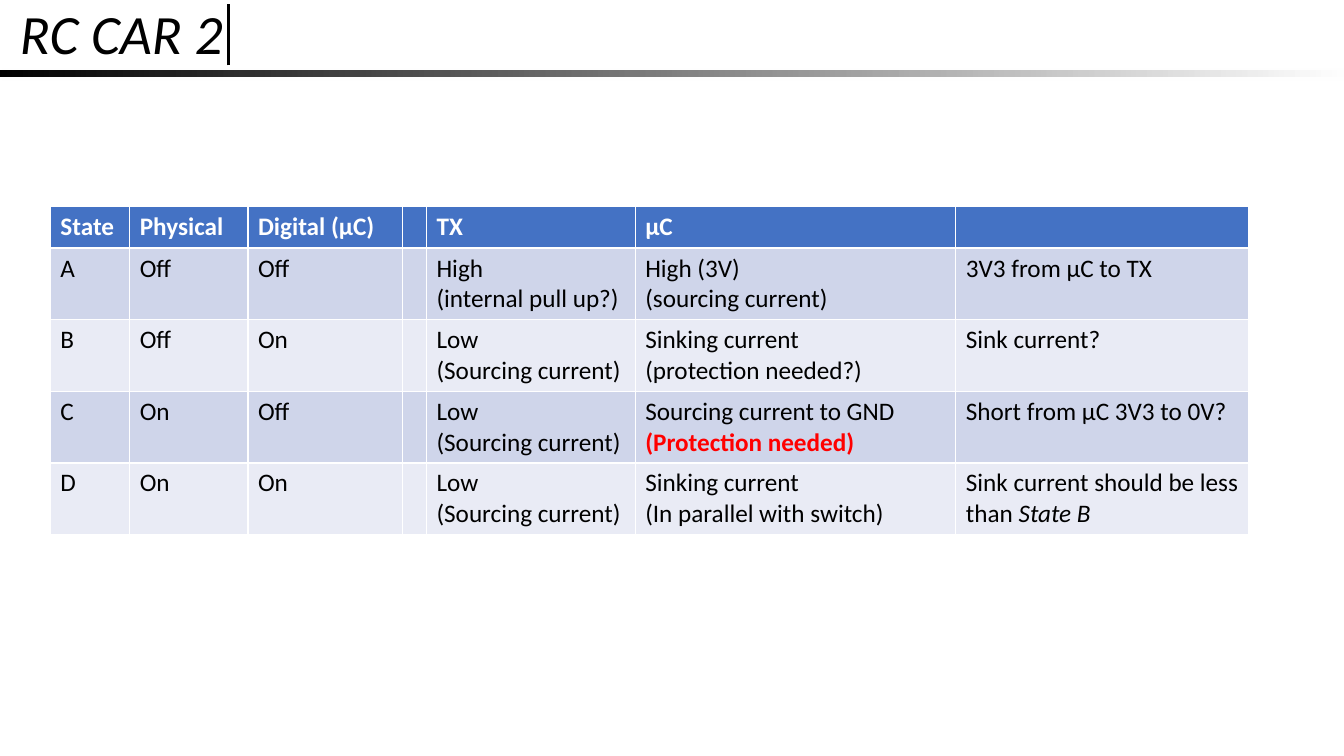
import pptx
import pptx.dml.color
import pptx.enum.shapes
import pptx.enum.text
import pptx.oxml.ns
import pptx.util
from lxml import etree
from pptx.util import Cm

FONT = "Calibri"
COLORS = {
    "black": "000000",
    "white": "FFFFFF",
    "header": "4472C4",
    "odd_row": "CFD5EA",
    "even_row": "E9EBF5",
    "warning": "FF0000",
}
SLIDE_WIDTH = Cm(33.87)
COLUMN_WIDTHS = [2.0, 2.98, 3.89, 0.6, 5.26, 8.08, 7.38]
HEADER_HEIGHT, ROW_HEIGHT = Cm(1.04), Cm(1.78)

# A cell is a list of paragraphs; a paragraph is a list of (text, format) runs.
WARNING = {"bold": True, "color": "warning"}
SOURCING = "Low\n(Sourcing current)"
HEADINGS = ["State", "Physical", "Digital (µC)", "", "TX", "µC", ""]
STATES = [
    ["A", "Off", "Off", "", "High\n(internal pull up?)",
     "High (3V)\n(sourcing current)", "3V3 from µC to TX"],
    ["B", "Off", "On", "", SOURCING,
     "Sinking current\n(protection needed?)", "Sink current?"],
    ["C", "On", "Off", "", SOURCING,
     [[("Sourcing current to GND ", {}), ("(Protection needed)", WARNING)]],
     "Short from µC 3V3 to 0V?"],
    ["D", "On", "On", "", SOURCING,
     "Sinking current\n(In parallel with switch)",
     [[("Sink current should be less than ", {}), ("State B", {"italic": True})]]],
]


def rgb(name):
    return pptx.dml.color.RGBColor.from_string(COLORS[name])


def add_run(paragraph, text, size=18, color="black", bold=False, italic=False):
    run = paragraph.add_run()
    run.text = text
    font = run.font
    font.name, font.size = FONT, pptx.util.Pt(size)
    font.bold, font.italic = bold, italic
    font.color.rgb = rgb(color)


def add_line(slide, start, end, width):
    line = slide.shapes.add_connector(
        pptx.enum.shapes.MSO_CONNECTOR.STRAIGHT, *start, *end)
    line.line.color.rgb = rgb("black")
    line.line.width = pptx.util.Pt(width)
    etree.SubElement(line._element.spPr, pptx.oxml.ns.qn("a:effectLst"))


def add_fade(slide, left, top, width, height):
    """Add a white band that goes from clear at the left to solid at the right."""
    band = slide.shapes.add_shape(
        pptx.enum.shapes.MSO_SHAPE.RECTANGLE, left, top, width, height)
    band.shadow.inherit = False
    band.line.fill.background()
    band.fill.gradient()
    band.fill.gradient_angle = 180
    stops = band._element.spPr.find(".//" + pptx.oxml.ns.qn("a:gsLst"))
    for stop in list(stops):
        stops.remove(stop)
    for position, opacity in [(0, 100), (90, 10), (100, 0)]:
        stop = etree.SubElement(
            stops, pptx.oxml.ns.qn("a:gs"), pos=str(position * 1000))
        color = etree.SubElement(
            stop, pptx.oxml.ns.qn("a:srgbClr"), val=COLORS["white"])
        etree.SubElement(
            color, pptx.oxml.ns.qn("a:alpha"), val=str(opacity * 1000))


def set_title(slide, text):
    title = slide.shapes.title
    title.left, title.top, title.width, title.height = (
        Cm(0.25), Cm(0), Cm(23.06), Cm(1.85))
    frame = title.text_frame
    frame.word_wrap = True
    frame.auto_size = pptx.enum.text.MSO_AUTO_SIZE.NONE
    frame.vertical_anchor = pptx.enum.text.MSO_ANCHOR.MIDDLE
    paragraph = frame.paragraphs[0]
    paragraph.alignment = pptx.enum.text.PP_ALIGN.LEFT
    paragraph.line_spacing = 0.9
    add_run(paragraph, text, size=39.6, italic=True)


def fill_cell(cell, content, fill, **text_format):
    cell.fill.solid()
    cell.fill.fore_color.rgb = rgb(fill)
    if isinstance(content, str):
        content = [[(line, {})] for line in content.split("\n") if line]
    for index, runs in enumerate(content):
        frame = cell.text_frame
        paragraph = frame.add_paragraph() if index else frame.paragraphs[0]
        for text, run_format in runs:
            add_run(paragraph, text, **{**text_format, **run_format})


def add_state_table(slide, left, top):
    height = HEADER_HEIGHT + len(STATES) * ROW_HEIGHT
    table = slide.shapes.add_table(
        len(STATES) + 1, len(HEADINGS), left, top,
        Cm(sum(COLUMN_WIDTHS)), height).table
    for column, width in zip(table.columns, COLUMN_WIDTHS):
        column.width = Cm(width)
    for row_index, contents in enumerate([HEADINGS] + STATES):
        table.rows[row_index].height = ROW_HEIGHT if row_index else HEADER_HEIGHT
        if row_index == 0:
            fill, text_format = "header", {"bold": True, "color": "white"}
        else:
            fill, text_format = ("odd_row" if row_index % 2 else "even_row"), {}
        for column_index, content in enumerate(contents):
            fill_cell(table.cell(row_index, column_index), content, fill,
                      **text_format)


def main():
    presentation = pptx.Presentation()
    presentation.slide_width, presentation.slide_height = SLIDE_WIDTH, Cm(19.05)
    slide = presentation.slides.add_slide(presentation.slide_layouts[5])

    # Title bar: fading rule and cursor
    add_line(slide, (Cm(0), Cm(1.85)), (SLIDE_WIDTH, Cm(1.85)), 4.5)
    add_fade(slide, Cm(0), Cm(1.73), SLIDE_WIDTH, Cm(0.3))
    add_line(slide, (Cm(5.77), Cm(1.65)), (Cm(5.77), Cm(0.1)), 2.25)
    set_title(slide, "RC CAR 2")

    # Switch states
    add_state_table(slide, Cm(1.27), Cm(5.21))

    presentation.save("out.pptx")


if __name__ == "__main__":
    main()
